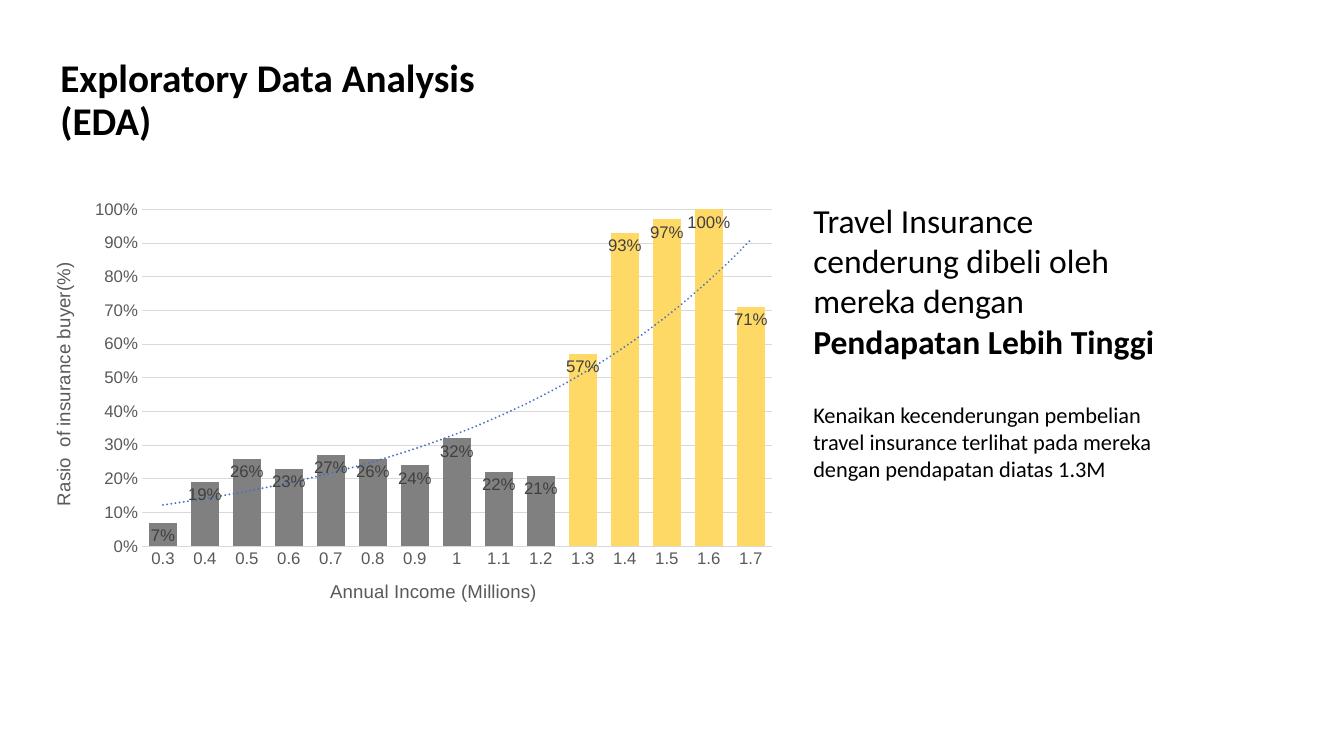
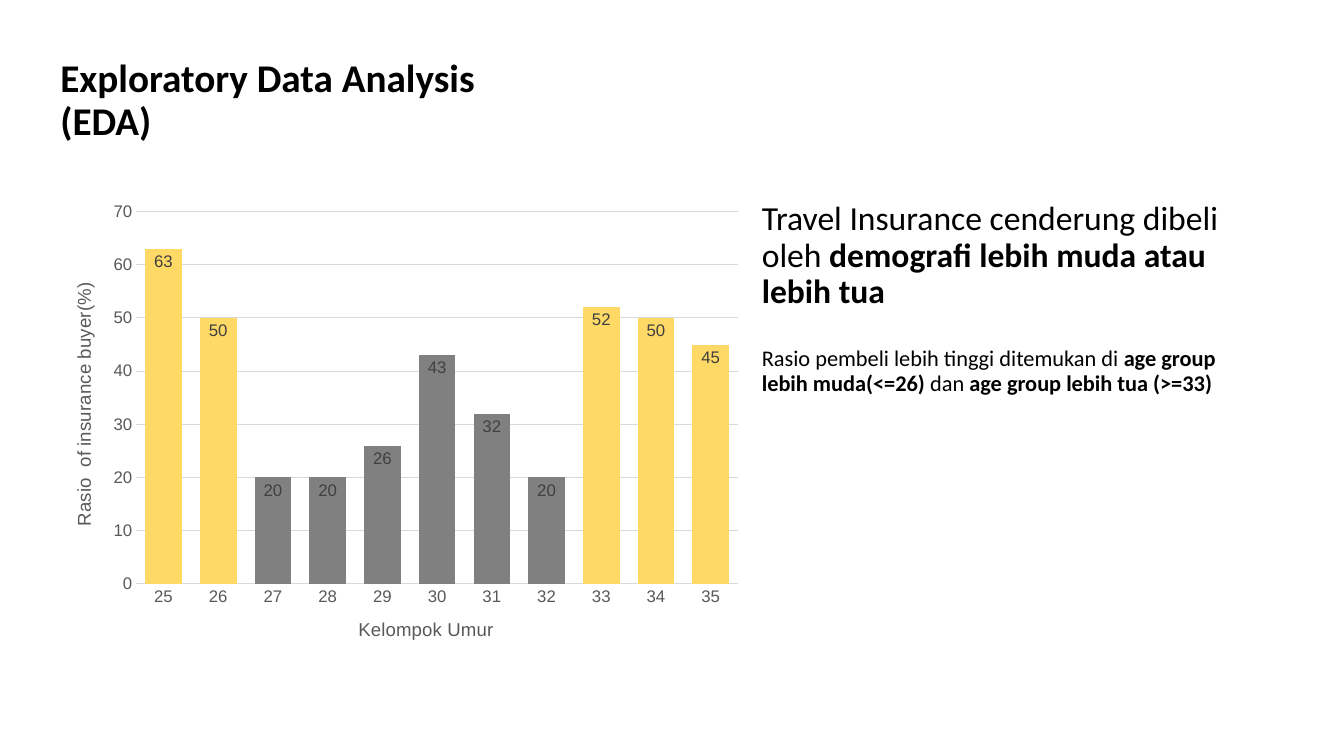
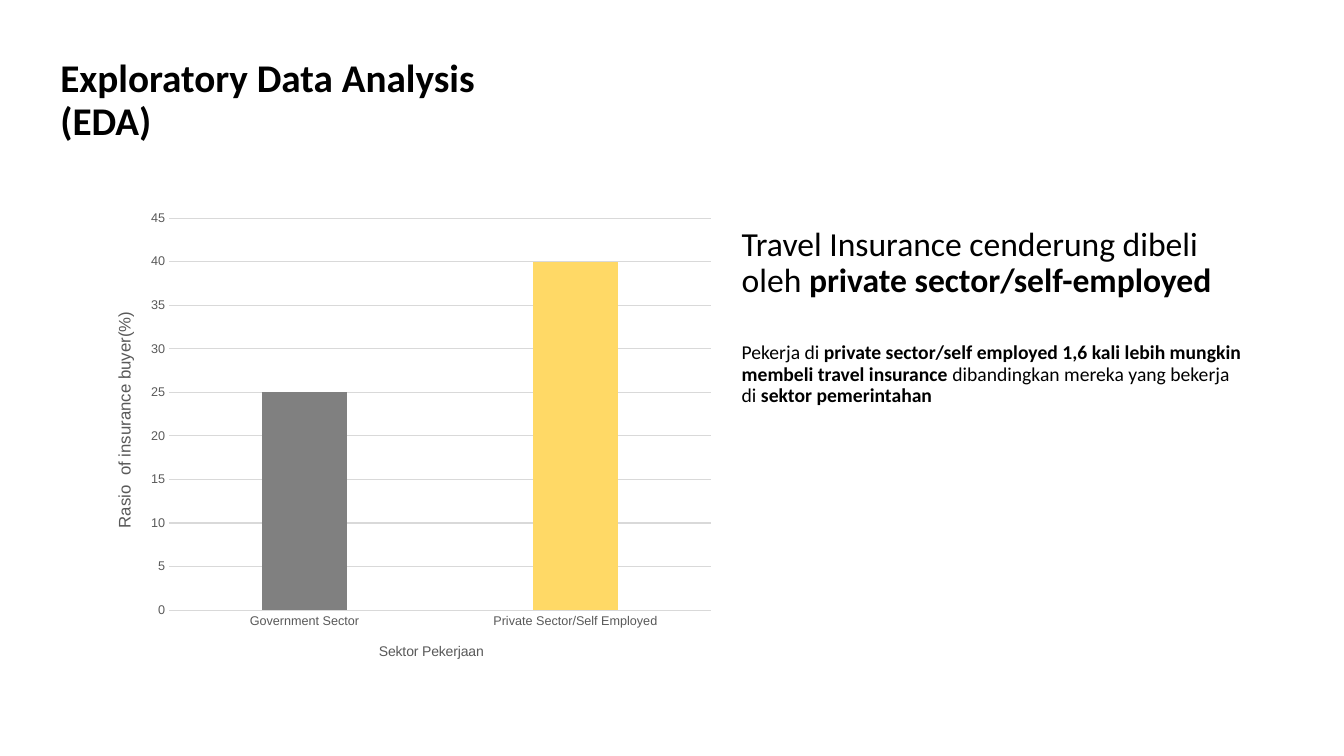
from lxml import etree
from pptx import Presentation
from pptx.chart import data as chart_data
from pptx.dml.color import RGBColor
from pptx.enum import chart as chart_enum, text as text_enum
from pptx.oxml import ns, parse_xml
from pptx.util import Pt

BLACK, AXIS_GREY, LABEL_GREY, GRID_GREY = "000000", "595959", "404040", "D9D9D9"
BAR_GREY, BAR_YELLOW, TREND_BLUE = "808080", "FFD966", "4472C4"
BODY_FONT, CHART_FONT = "Calibri", "Arial"
TITLE = "Exploratory Data Analysis (EDA)"
TITLE_BOX = (36, 20.16, 380.16, 104.4)
VALUE_TITLE = "Rasio  of insurance buyer(%)"


def color(hex_value):
    return RGBColor.from_string(hex_value)


def set_values(target, values):
    for name, value in values.items():
        setattr(target, name, value)


def style_font(font, name, size, hex_value, bold=False):
    set_values(font, {"name": name, "size": Pt(size), "bold": bold})
    font.color.rgb = color(hex_value)


def add_text(slide, box, paragraphs, gap=0, anchor="MIDDLE", spacing=0.9, fit="NONE"):
    """Each paragraph is (size, runs); each run is (text, bold)."""
    shape = slide.shapes.add_textbox(*map(Pt, box))
    frame = shape.text_frame
    set_values(frame, {
        "word_wrap": True,
        "auto_size": text_enum.MSO_AUTO_SIZE[fit],
        "vertical_anchor": text_enum.MSO_ANCHOR[anchor],
    })
    for index, (size, runs) in enumerate(paragraphs):
        paragraph = frame.add_paragraph() if index else frame.paragraphs[0]
        paragraph.line_spacing = spacing
        if index:
            paragraph.space_before = Pt(gap)
        for words, bold in runs:
            run = paragraph.add_run()
            run.text = words
            style_font(run.font, BODY_FONT, size, BLACK, bold)


def set_layout(element, index, fractions, inner=False):
    """Put a manual layout, as fractions of the chart, at a child index."""
    for old in element.findall(ns.qn("c:layout")):
        element.remove(old)
    layout = etree.Element(ns.qn("c:layout"))
    manual = etree.SubElement(layout, ns.qn("c:manualLayout"))
    settings = [("layoutTarget", "inner")] if inner else []
    settings += [("xMode", "edge"), ("yMode", "edge")]
    settings += zip("xywh", fractions)
    for tag, value in settings:
        etree.SubElement(manual, ns.qn(f"c:{tag}")).set("val", str(value))
    element.insert(index, layout)


def style_axis(axis, title, title_size, tick_size, position):
    axis.major_tick_mark = axis.minor_tick_mark = chart_enum.XL_TICK_MARK.NONE
    style_font(axis.tick_labels.font, CHART_FONT, tick_size, AXIS_GREY)
    axis_title = axis.axis_title
    axis_title.text_frame.text = title
    run = axis_title.text_frame.paragraphs[0].runs[0]
    style_font(run.font, CHART_FONT, title_size, AXIS_GREY)
    set_layout(axis_title._element, 1, position)


def style_line(line, hex_value):
    line.color.rgb = color(hex_value)
    line.width = Pt(0.75)


def add_trend_line(series):
    trend = parse_xml(
        f'<c:trendline {ns.nsdecls("c", "a")}><c:spPr><a:ln w="{Pt(1.5)}" cap="rnd">'
        f'<a:solidFill><a:srgbClr val="{TREND_BLUE}"/></a:solidFill>'
        '<a:prstDash val="sysDot"/></a:ln></c:spPr><c:trendlineType val="exp"/>'
        '<c:dispRSqr val="0"/><c:dispEq val="0"/></c:trendline>')
    series._element.find(ns.qn("c:cat")).addprevious(trend)


def add_columns(slide, box, plot_box, categories, values, highlighted, category_title,
                category_at, value_at, top, step, number_format="General", gap=50,
                tick_size=12, title_sizes=(13.3, 13.3), labels=True, trend=False):
    """Plot and axis title places are points from the corner of the chart box."""
    def fractions(lengths):
        return [round(length / box[2 + index % 2], 4) for index, length in enumerate(lengths)]

    data = chart_data.CategoryChartData()
    data.categories = categories
    data.add_series("Series 1", values)
    chart = slide.shapes.add_chart(
        chart_enum.XL_CHART_TYPE.COLUMN_CLUSTERED, *map(Pt, box), data).chart
    set_values(chart, {"has_title": False, "has_legend": False})
    style_font(chart.font, CHART_FONT, 10, BLACK)
    plot = chart.plots[0]
    set_values(plot, {"gap_width": gap, "overlap": -27, "vary_by_categories": False})
    set_layout(chart._chartSpace.find(".//" + ns.qn("c:plotArea")), 0,
               fractions(plot_box), inner=True)

    category_axis, value_axis = chart.category_axis, chart.value_axis
    style_axis(category_axis, category_title, title_sizes[0], tick_size, fractions(category_at))
    style_line(category_axis.format.line, GRID_GREY)
    style_axis(value_axis, VALUE_TITLE, title_sizes[1], tick_size, fractions(value_at))
    set_values(value_axis, {"minimum_scale": 0, "maximum_scale": top, "major_unit": step})
    set_values(value_axis.tick_labels,
               {"number_format": number_format, "number_format_is_linked": False})
    value_axis.format.line.fill.background()
    style_line(value_axis.major_gridlines.format.line, GRID_GREY)
    body = value_axis.axis_title._element.find(".//" + ns.qn("a:bodyPr"))
    body.set("rot", "-5400000")
    body.set("vert", "horz")

    series = plot.series[0]
    series.format.fill.solid()
    series.format.fill.fore_color.rgb = color(BAR_GREY)
    for index in highlighted:
        fill = series.points[index].format.fill
        fill.solid()
        fill.fore_color.rgb = color(BAR_YELLOW)
    if labels:
        data_labels = series.data_labels
        set_values(data_labels, {
            "show_value": True,
            "position": chart_enum.XL_LABEL_POSITION.INSIDE_END,
            "number_format": number_format,
            "number_format_is_linked": False,
        })
        style_font(data_labels.font, CHART_FONT, 12, LABEL_GREY)
    if trend:
        add_trend_line(series)


def add_analysis_slide(presentation, chart, finding):
    slide = presentation.slides.add_slide(presentation.slide_layouts[6])
    add_text(slide, TITLE_BOX, [(28, [(TITLE, True)])])
    add_columns(slide, **chart)
    add_text(slide, **finding)


INCOME = (
    {
        "box": (21.6, 136.8, 540.72, 309.6), "plot_box": (79.8, 12.8, 450, 240.7),
        "categories": [f"{tenths / 10:g}" for tenths in range(3, 18)],
        "values": (0.07, 0.19, 0.26, 0.23, 0.27, 0.26, 0.24, 0.32, 0.22, 0.21,
                   0.57, 0.93, 0.97, 1, 0.71),
        "highlighted": range(10, 15), "category_title": "Annual Income (Millions)",
        "category_at": (211.8, 274.5), "value_at": (12.7, 48.2), "top": 1, "step": 0.1,
        "number_format": "0%", "trend": True,
    },
    {
        "box": (573.84, 138.96, 280.8, 181.44), "gap": 29, "anchor": "TOP",
        "spacing": 1.0, "fit": "SHAPE_TO_FIT_TEXT",
        "paragraphs": [
            (24, [("Travel Insurance cenderung dibeli oleh mereka dengan ", False),
                  ("Pendapatan Lebih Tinggi", True)]),
            (16, [("Kenaikan kecenderungan pembelian travel insurance terlihat "
                   "pada mereka dengan pendapatan diatas 1.3M", False)]),
        ],
    },
)
AGE = (
    {
        "box": (36, 138.24, 500.4, 335.52), "plot_box": (61.3, 13, 430, 265.8),
        "categories": [str(age) for age in range(25, 36)],
        "values": (63, 50, 20, 20, 26, 43, 32, 20, 52, 50, 45),
        "highlighted": (0, 1, 8, 9, 10), "category_title": "Kelompok Umur",
        "category_at": (217.5, 300.5), "value_at": (13, 61.2), "top": 70, "step": 10,
    },
    {
        "box": (537.12, 124.56, 360, 177.84), "gap": 26.4,
        "paragraphs": [
            (24, [("Travel Insurance cenderung dibeli oleh ", False),
                  ("demografi lebih muda atau lebih tua", True)]),
            (16, [("Rasio pembeli lebih tinggi ditemukan di ", False),
                  ("age group lebih muda(<=26)", True), (" dan ", False),
                  ("age group lebih tua (>=33)", True)]),
        ],
    },
)
SECTOR = (
    {
        "box": (66.24, 144, 451.44, 342.72), "plot_box": (54.5, 11.9, 387, 280),
        "categories": ("Government Sector", "Private Sector/Self Employed"),
        "values": (25, 40), "highlighted": (1,), "category_title": "Sektor Pekerjaan",
        "category_at": (202.6, 312.9), "value_at": (13, 76.4), "top": 45, "step": 5,
        "gap": 219, "tick_size": 9, "title_sizes": (10, 12), "labels": False,
    },
    {
        "box": (522.72, 112.32, 371.52, 228.24), "gap": 30.6,
        "paragraphs": [
            (24, [("Travel Insurance cenderung dibeli oleh ", False),
                  ("private sector/self-employed", True)]),
            (14, [("Pekerja di ", False),
                  ("private sector/self employed 1,6 kali lebih mungkin membeli "
                   "travel insurance", True),
                  (" dibandingkan mereka yang bekerja di ", False),
                  ("sektor pemerintahan", True)]),
        ],
    },
)


def main():
    presentation = Presentation()
    set_values(presentation, {"slide_width": Pt(960), "slide_height": Pt(540)})
    for chart, finding in (INCOME, AGE, SECTOR):
        add_analysis_slide(presentation, chart, finding)
    presentation.save("out.pptx")


if __name__ == "__main__":
    main()
